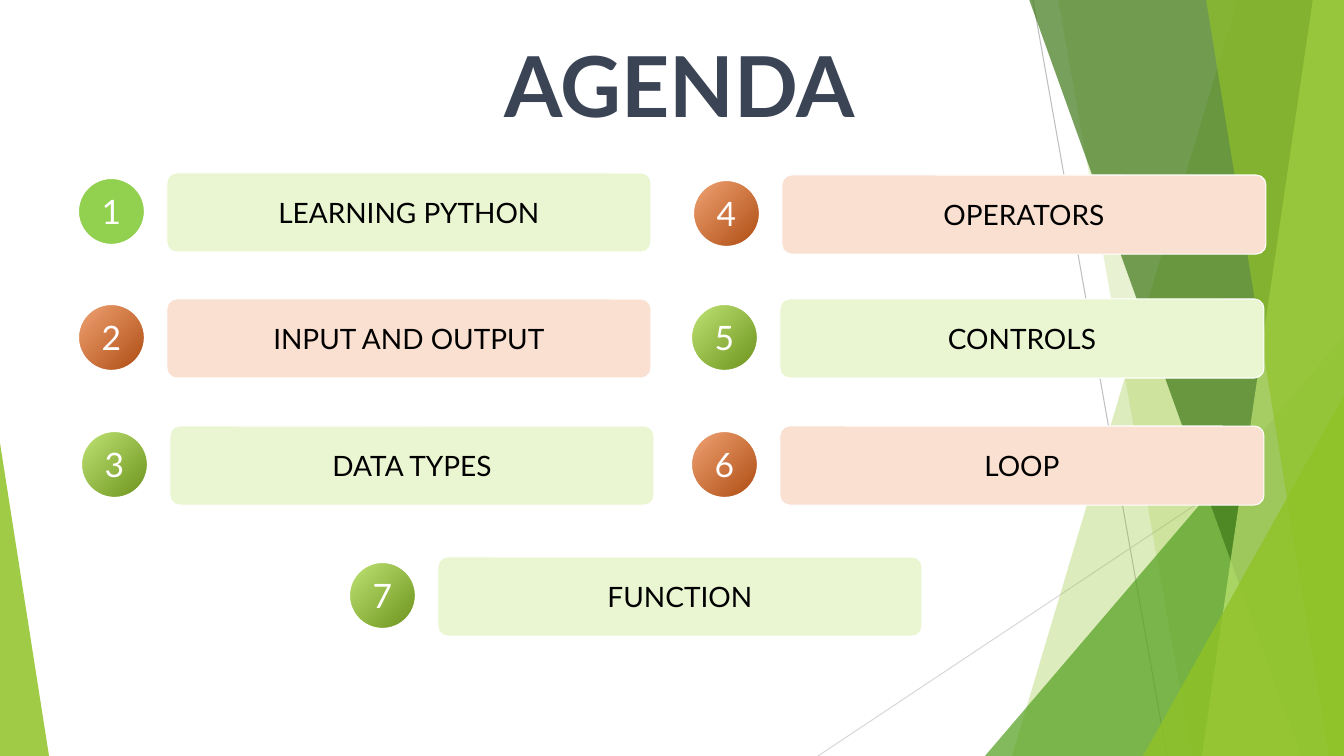
from lxml import etree
from pptx import Presentation
from pptx.dml.color import RGBColor
from pptx.enum.shapes import MSO_CONNECTOR as Connector, MSO_SHAPE as Shape
from pptx.enum.text import MSO_ANCHOR as Anchor, MSO_AUTO_SIZE as AutoSize, PP_ALIGN as Align
from pptx.oxml.ns import qn
from pptx.util import Pt

PIXEL = 914400 / 100.8
WIDTH, HEIGHT = 1344, 756


def color(value):
    """Turn a hex string into a colour."""
    return RGBColor.from_string(value)


def write(shape, text, size, font_color, bold=False, inset=10):
    """Put one centred line of text into a shape."""
    frame = shape.text_frame
    frame.text = text
    margin = round(inset * PIXEL)
    frame_format = {
        "word_wrap": True, "auto_size": AutoSize.NONE, "vertical_anchor": Anchor.MIDDLE,
        "margin_left": margin, "margin_right": margin,
        "margin_top": margin // 2, "margin_bottom": margin // 2,
    }
    for name, value in frame_format.items():
        setattr(frame, name, value)
    paragraph = frame.paragraphs[0]
    paragraph.alignment = Align.CENTER
    font = paragraph.runs[0].font
    for name, value in {"name": "Lato", "size": Pt(size), "bold": bold}.items():
        setattr(font, name, value)
    font.color.rgb = color(font_color)


presentation = Presentation()
presentation.slide_width = round(WIDTH * PIXEL)
presentation.slide_height = round(HEIGHT * PIXEL)
slide = presentation.slides.add_slide(presentation.slide_layouts[5])
shapes = slide.shapes

# Title
title = shapes.title
title_box = {"left": 366, "top": 33, "width": 627, "height": 101}
for name, value in title_box.items():
    setattr(title, name, round(value * PIXEL))
write(title, "AGENDA", 60, "3B4455", bold=True)

# Thin lines behind the facets
for ends, line_color in [
    ((1033, 0, 1167, HEIGHT), "BFBFBF"),
    ((WIDTH, 406, 818, HEIGHT), "D9D9D9"),
]:
    connector = shapes.add_connector(Connector.STRAIGHT, *[round(end * PIXEL) for end in ends])
    connector.line.width = Pt(0.75)
    connector.line.color.rgb = color(line_color)
    etree.SubElement(connector._element.spPr, qn("a:effectLst"))

# Facets: a band is (top x, bottom x) up to the right edge,
# a triangle is (left, top, width, apex) down to the bottom edge
facets = [
    ("band", (1238, 1012), "90C226", 30),
    ("band", (1058, 1192), "90C226", 20),
    ("triangle", (985, 336, 359, 1), "54A021", 72),
    ("band", (1029, 1301), "3F7819", 70),
    ("band", (1313, 1202), "C0E474", 70),
    ("band", (1206, 1329), "90C226", 65),
    ("triangle", (1143, 396, 201, 1), "90C226", 80),
    ("triangle", (0, 443, 49, 0), "90C226", 85),
]
for kind, place, fill_color, opacity in facets:
    if kind == "band":
        top_x, bottom_x = place
        builder = shapes.build_freeform(top_x, -1, scale=PIXEL)
        builder.add_line_segments([(WIDTH, -1), (WIDTH, HEIGHT), (bottom_x, HEIGHT)])
        facet = builder.convert_to_shape()
    else:
        left, top, width, apex = place
        box = [round(value * PIXEL) for value in (left, top, width, HEIGHT - top)]
        facet = shapes.add_shape(Shape.ISOSCELES_TRIANGLE, *box)
        facet.adjustments[0] = apex
    facet.shadow.inherit = False
    facet.line.fill.background()
    facet.fill.solid()
    facet.fill.fore_color.rgb = color(fill_color)
    srgb = facet._element.spPr.find(".//" + qn("a:srgbClr"))
    etree.SubElement(srgb, qn("a:alpha"), val=str(opacity * 1000))

# Agenda items: a numbered circle with a bar to its right
CIRCLE, BAR_WIDTH, BAR_HEIGHT = 67, 484, 79
BAR_SHIFT, BAR_RISE = 89, 5
GREEN, ORANGE = ("C0E474", "6C921D"), ("F1A374", "AD4C12")
BAR_COLORS = {GREEN: "EAF6D1", ORANGE: "FAE0D1"}
items = [
    ("LEARNING PYTHON", 78, 178),
    ("INPUT AND OUTPUT", 78, 304),
    ("DATA TYPES", 81, 431),
    ("OPERATORS", 693, 180),
    ("CONTROLS", 691, 304),
    ("LOOP", 691, 431),
    ("FUNCTION", 349, 562),
]
for number, (topic, left, top) in enumerate(items, 1):
    shades = GREEN if number % 2 else ORANGE
    circle_box = (left, top, CIRCLE, CIRCLE)
    bar_box = (left + BAR_SHIFT, top - BAR_RISE, BAR_WIDTH, BAR_HEIGHT)
    circle = shapes.add_shape(Shape.OVAL, *[round(value * PIXEL) for value in circle_box])
    bar = shapes.add_shape(Shape.ROUNDED_RECTANGLE, *[round(value * PIXEL) for value in bar_box])
    bar.adjustments[0] = 0.12
    for shape, line_width in ((circle, 1.5), (bar, 0.75)):
        shape.shadow.inherit = False
        shape.line.width = Pt(line_width)
        shape.line.color.rgb = color("FFFFFF")
    if number == 1:
        circle.fill.solid()
        circle.fill.fore_color.rgb = color("92D050")
    else:
        circle.fill.gradient()
        circle.fill.gradient_angle = 315
        for stop, shade in zip(circle.fill.gradient_stops, shades):
            stop.color.rgb = color(shade)
    bar.fill.solid()
    bar.fill.fore_color.rgb = color(BAR_COLORS[shades])
    write(circle, str(number), 24, "FFFFFF")
    write(bar, topic, 20, "000000", inset=0)

presentation.save("out.pptx")
